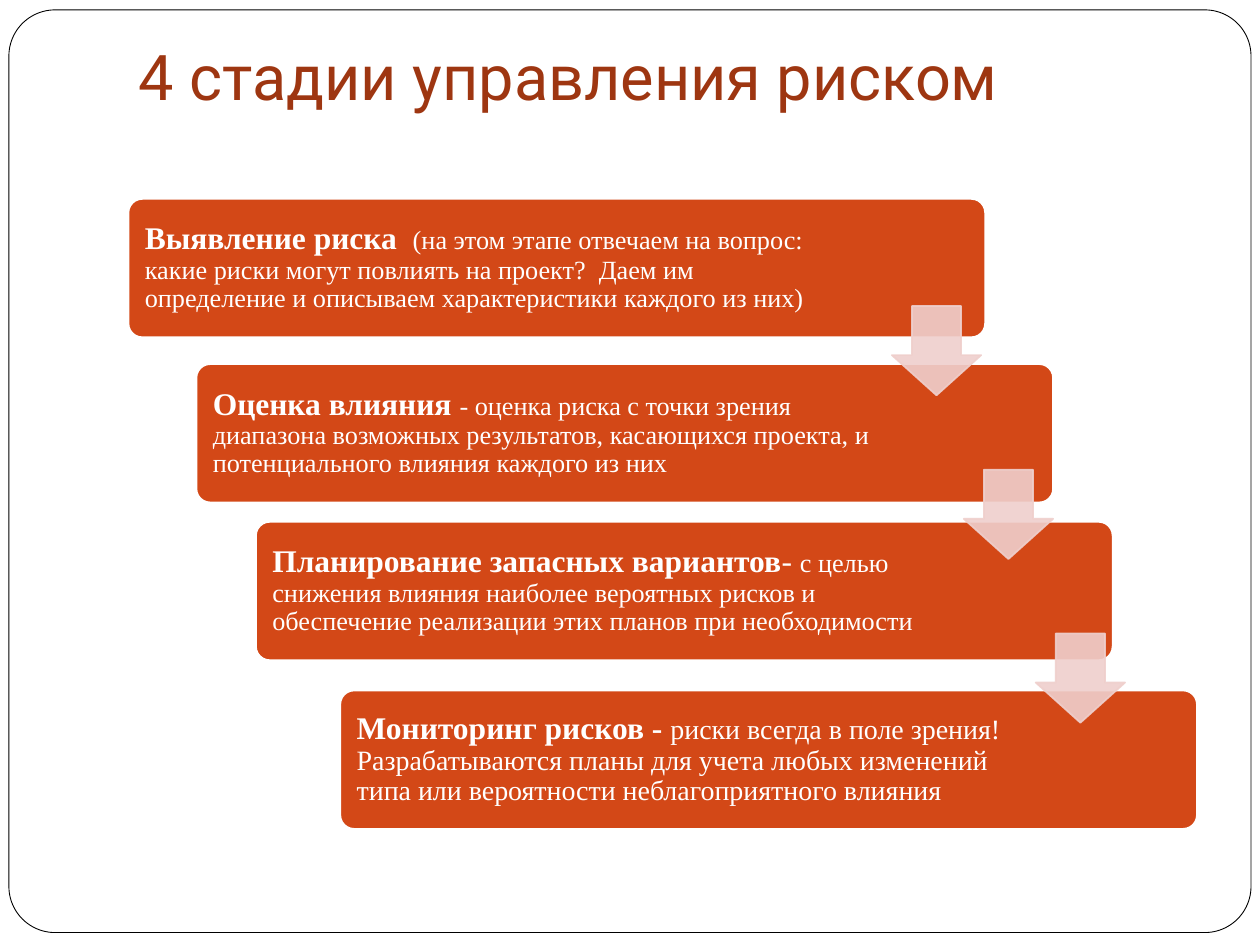
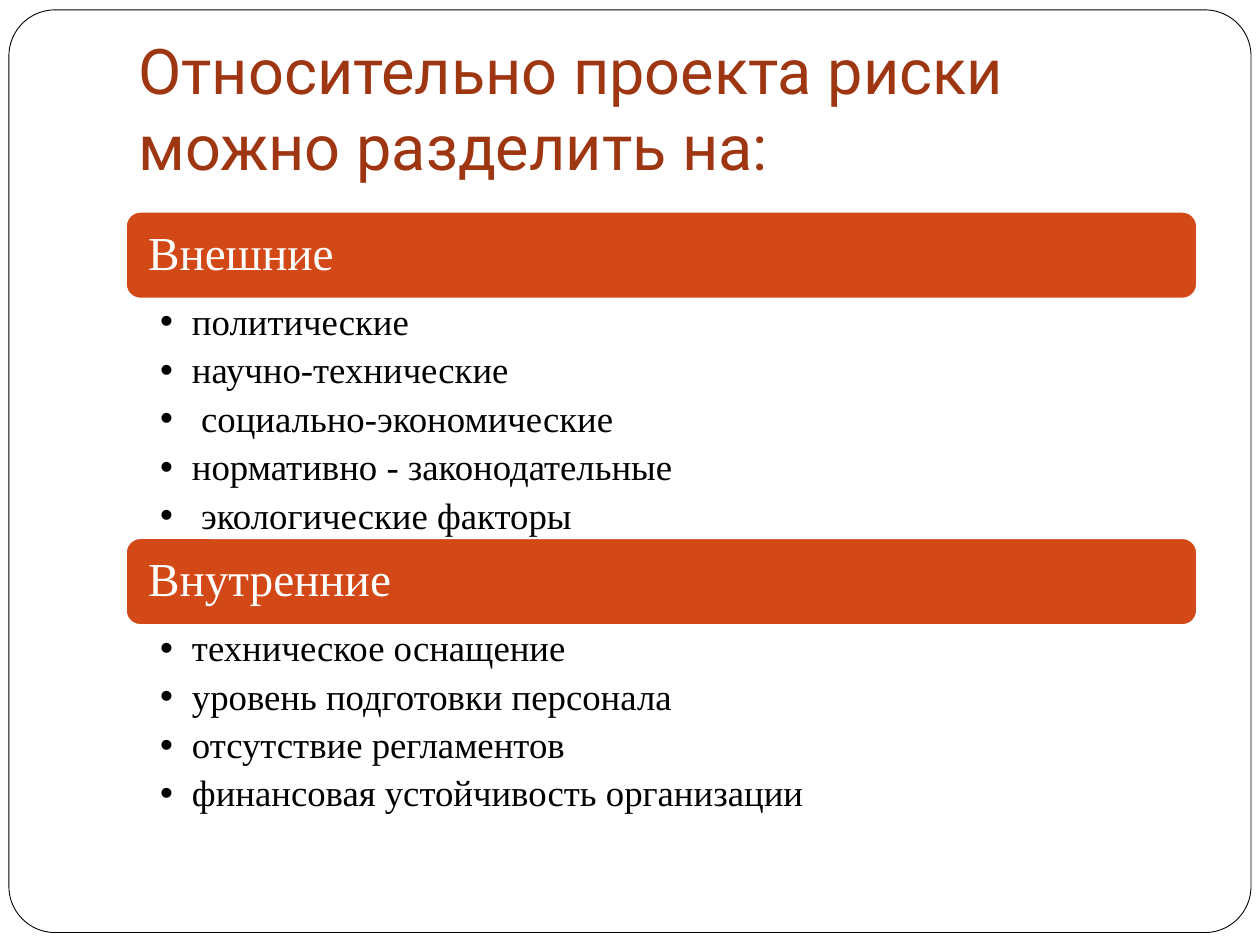
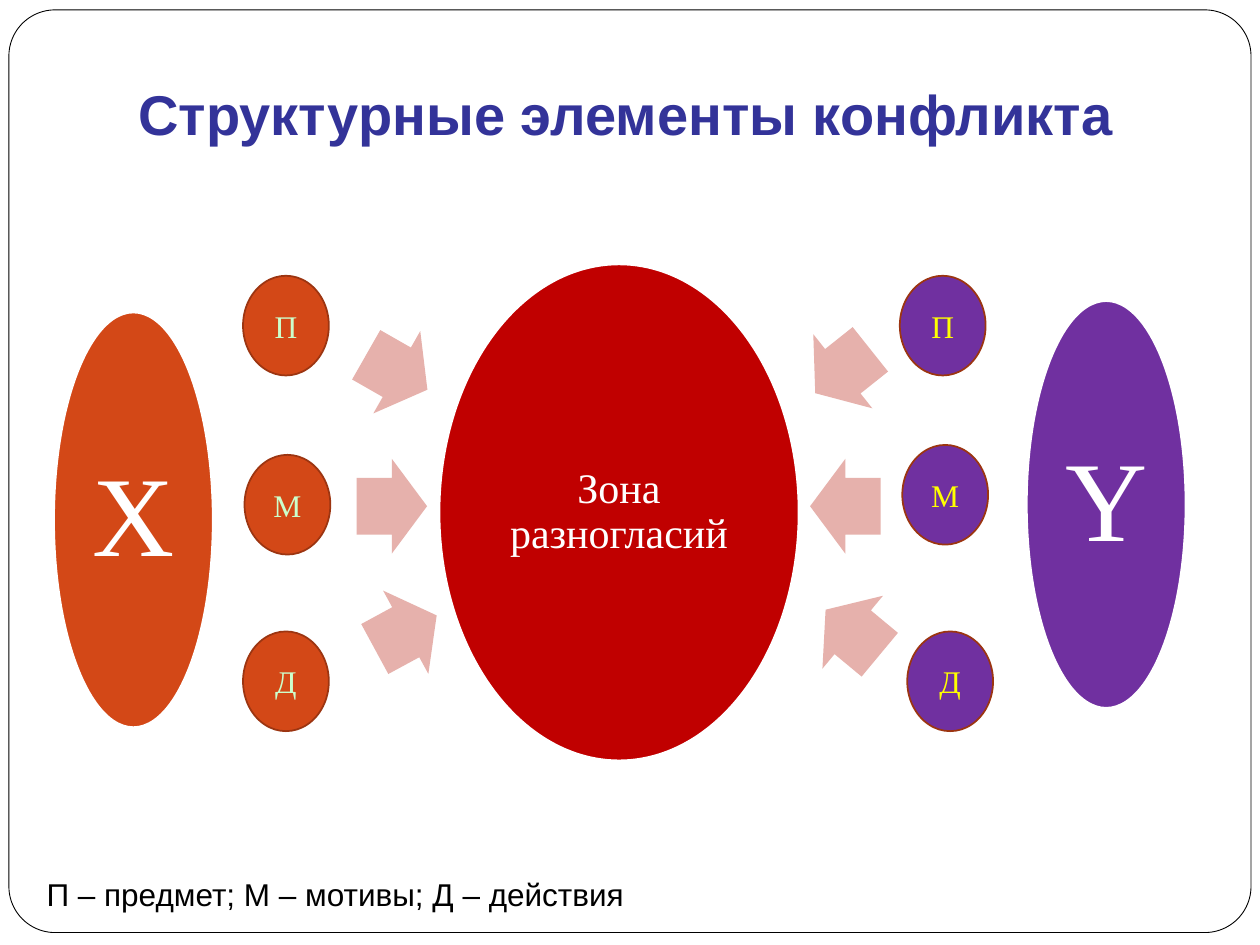
"""Build three slides on project risks and the structure of a conflict."""
import pptx
import pptx.dml.color
import pptx.enum.shapes
import pptx.enum.text
import pptx.oxml
import pptx.oxml.ns
import pptx.util

Cm = pptx.util.Cm
Pt = pptx.util.Pt
color = pptx.dml.color.RGBColor.from_string
Shape = pptx.enum.shapes.MSO_SHAPE
Anchor = pptx.enum.text.MSO_ANCHOR
Align = pptx.enum.text.PP_ALIGN

ORANGE = "D34817"
RUST = "9E3611"
PURPLE = "7030A0"
RED = "C00000"
PINK = "E6B1AC"
PALE_PINK = "EFCFCC"
WHITE = "FFFFFF"
BLACK = "000000"
SERIF = "Times New Roman"


def draw_shape(slide, kind, box, fill, line=None, width=1, adjustments=(), rotation=0):
    """Add a flat preset shape whose box is given in centimetres."""
    shape = slide.shapes.add_shape(kind, *[Cm(length) for length in box])
    shape.shadow.inherit = False
    shape.rotation = rotation
    shape.fill.solid()
    shape.fill.fore_color.rgb = color(fill)
    if line:
        shape.line.color.rgb = color(line)
        shape.line.width = Pt(width)
    else:
        shape.line.fill.background()
    for index, value in enumerate(adjustments):
        shape.adjustments[index] = value
    return shape


def write_text(frame, text, size, fill, font=SERIF, bold=False, align=Align.LEFT,
               anchor=Anchor.MIDDLE, margins=(0, 0, 0, 0), spacing=0.9):
    """Append formatted text to the last paragraph of a frame."""
    frame.word_wrap = True
    frame.auto_size = pptx.enum.text.MSO_AUTO_SIZE.NONE
    frame.vertical_anchor = anchor
    (frame.margin_left, frame.margin_top,
     frame.margin_right, frame.margin_bottom) = [Cm(margin) for margin in margins]
    paragraph = frame.paragraphs[-1]
    paragraph.alignment = align
    paragraph.line_spacing = spacing
    run = paragraph.add_run()
    run.text = text
    run.font.size = Pt(size)
    run.font.name = font
    run.font.bold = bold
    run.font.color.rgb = color(fill)
    return paragraph


presentation = pptx.Presentation()
presentation.slide_width = Cm(25.4)
presentation.slide_height = Cm(19.05)

TITLE_ONLY, TWO_CONTENT = 5, 3
titles = [
    (TITLE_ONLY, "4 стадии управления риском", 36, RUST, "Roboto", False, Anchor.TOP, 0),
    (TWO_CONTENT, "Относительно проекта риски можно разделить на:", 36, RUST, "Roboto",
     False, Anchor.BOTTOM, 0.13),
    (TITLE_ONLY, "Структурные элементы конфликта", 32, "333399", "Arial", True,
     Anchor.MIDDLE, 0.13),
]
for layout, text, size, fill, font, bold, anchor, top_margin in titles:
    slide = presentation.slides.add_slide(presentation.slide_layouts[layout])
    title = slide.shapes.title
    title.left, title.top, title.width, title.height = Cm(2.54), Cm(0.76), Cm(21.59), Cm(3.18)
    write_text(title.text_frame, text, size, fill, font=font, bold=bold, anchor=anchor,
               margins=(0.25, top_margin, 0.25, 0.25), spacing=1)
stages_slide, risks_slide, conflict_slide = presentation.slides

page_frame = draw_shape(stages_slide, Shape.ROUNDED_RECTANGLE, (0.18, 0.2, 25.04, 18.6),
                        WHITE, BLACK, width=0.5, adjustments=[0.05])
page_frame.element.nvSpPr.cNvPr.set("id", "20")
presentation.slide_master.shapes.element.insert(2, page_frame.element)

stages = [
    (2.59, 4.01, "Выявление риска  ", "",
     "(на этом этапе отвечаем на вопрос: какие риски могут повлиять на проект?  "
     "Даем им определение и описываем характеристики каждого из них)", 15),
    (3.96, 7.34, "Оценка влияния ", "",
     "- оценка риска с точки зрения диапазона возможных результатов, касающихся проекта, "
     "и потенциального влияния каждого из них", 15),
    (5.16, 10.52, "Планирование запасных вариантов", "- ",
     "с целью снижения влияния наиболее вероятных рисков и обеспечение реализации "
     "этих планов при необходимости", 15),
    (6.86, 13.92, "Мониторинг рисков - ", "",
     "риски всегда в поле зрения!  Разрабатываются планы для учета любых изменений "
     "типа или вероятности неблагоприятного влияния", 16),
]
for left, top, name, dash, description, size in stages:
    card = draw_shape(stages_slide, Shape.ROUNDED_RECTANGLE, (left, top, 17.27, 2.79),
                      ORANGE, WHITE, adjustments=[0.1])
    for text, text_size, bold in [(name, 18, True), (dash, 18, False),
                                  (description, size, False)]:
        if text:
            write_text(card.text_frame, text, text_size, WHITE, bold=bold,
                       margins=(0.25, 0.18, 3.43, 0.18))

for step in range(len(stages) - 1):
    arrow = draw_shape(stages_slide, Shape.DOWN_ARROW,
                       (17.98 + 1.45 * step, 6.17 + 3.3 * step, 1.8, 1.8),
                       PALE_PINK, PALE_PINK, adjustments=[0.55, 0.45])
    for fill_color in arrow.element.spPr.iter(pptx.oxml.ns.qn("a:srgbClr")):
        alpha = pptx.oxml.parse_xml(
            f'<a:alpha {pptx.oxml.ns.nsdecls("a")} val="90000"/>')
        fill_color.append(alpha)

risk_groups = [
    (4.27, 4.8, "Внешние",
     ["политические", "научно-технические", " социально-экономические",
      "нормативно - законодательные", " экологические факторы"]),
    (10.85, 3.89, "Внутренние",
     ["техническое оснащение", "уровень подготовки персонала", "отсутствие регламентов",
      "финансовая устойчивость организации"]),
]
for body, (top, height, heading, risks) in zip(list(risks_slide.placeholders)[1:], risk_groups):
    band = draw_shape(risks_slide, Shape.ROUNDED_RECTANGLE, (2.54, top, 21.59, 1.75),
                      ORANGE, WHITE)
    write_text(band.text_frame, heading, 27, WHITE, margins=(0.36, 0.28, 0.36, 0.28))
    body.left, body.top, body.width, body.height = Cm(2.54), Cm(top + 1.75), Cm(21.59), Cm(height)
    for index, risk in enumerate(risks):
        if index:
            body.text_frame.add_paragraph()
        paragraph = write_text(body.text_frame, risk, 21, BLACK, anchor=Anchor.TOP,
                               margins=(0.69, 0.1, 0.53, 0.1))
        paragraph.space_before = Pt(0)
        paragraph.space_after = Pt(5)
        properties = paragraph._p.get_or_add_pPr()
        properties.set("marL", str(Cm(0.64)))
        properties.set("indent", str(-Cm(0.64)))

large_ovals = [
    ("X", 65, (1.09, 6.3, 3.2, 8.36), ORANGE),
    ("Y", 65, (20.7, 6.07, 3.2, 8.2), PURPLE),
    ("Зона разногласий", 24, (8.86, 5.33, 7.24, 10), RED),
]
for text, size, box, fill in large_ovals:
    oval = draw_shape(conflict_slide, Shape.OVAL, box, fill, WHITE)
    write_text(oval.text_frame, text, size, WHITE, align=Align.CENTER)

sides = [
    (ORANGE, "CCFFCC", [(4.9, 5.56), (4.93, 9.17), (4.9, 12.73)]),
    (PURPLE, "FFFF00", [(18.14, 5.56), (18.19, 8.97), (18.29, 12.73)]),
]
for fill, text_fill, corners in sides:
    for letter, (left, top) in zip("ПМД", corners):
        oval = draw_shape(conflict_slide, Shape.OVAL, (left, top, 1.73, 2.01), fill, "9C3511")
        write_text(oval.text_frame, letter, 18, text_fill, align=Align.CENTER, spacing=1)

zone_arrows = [
    (7.29, 6.55, 29.7), (7.19, 9.25, 0), (7.47, 11.79, 331.5),
    (16.28, 6.53, 141.5), (16.33, 9.25, 180), (16.48, 11.79, 219.7),
]
for left, top, rotation in zone_arrows:
    draw_shape(conflict_slide, Shape.RIGHT_ARROW, (left, top, 1.42, 1.91), PINK,
               adjustments=[0.6, 0.5], rotation=rotation)

legend = conflict_slide.shapes.add_textbox(Cm(0.69), Cm(17.5), Cm(18.59), Cm(1.02))
write_text(legend.text_frame, "П – предмет; М – мотивы; Д – действия", 18, BLACK,
           font="Arial", anchor=Anchor.TOP, margins=(0.25, 0.13, 0.25, 0.13), spacing=1)

presentation.save("out.pptx")
